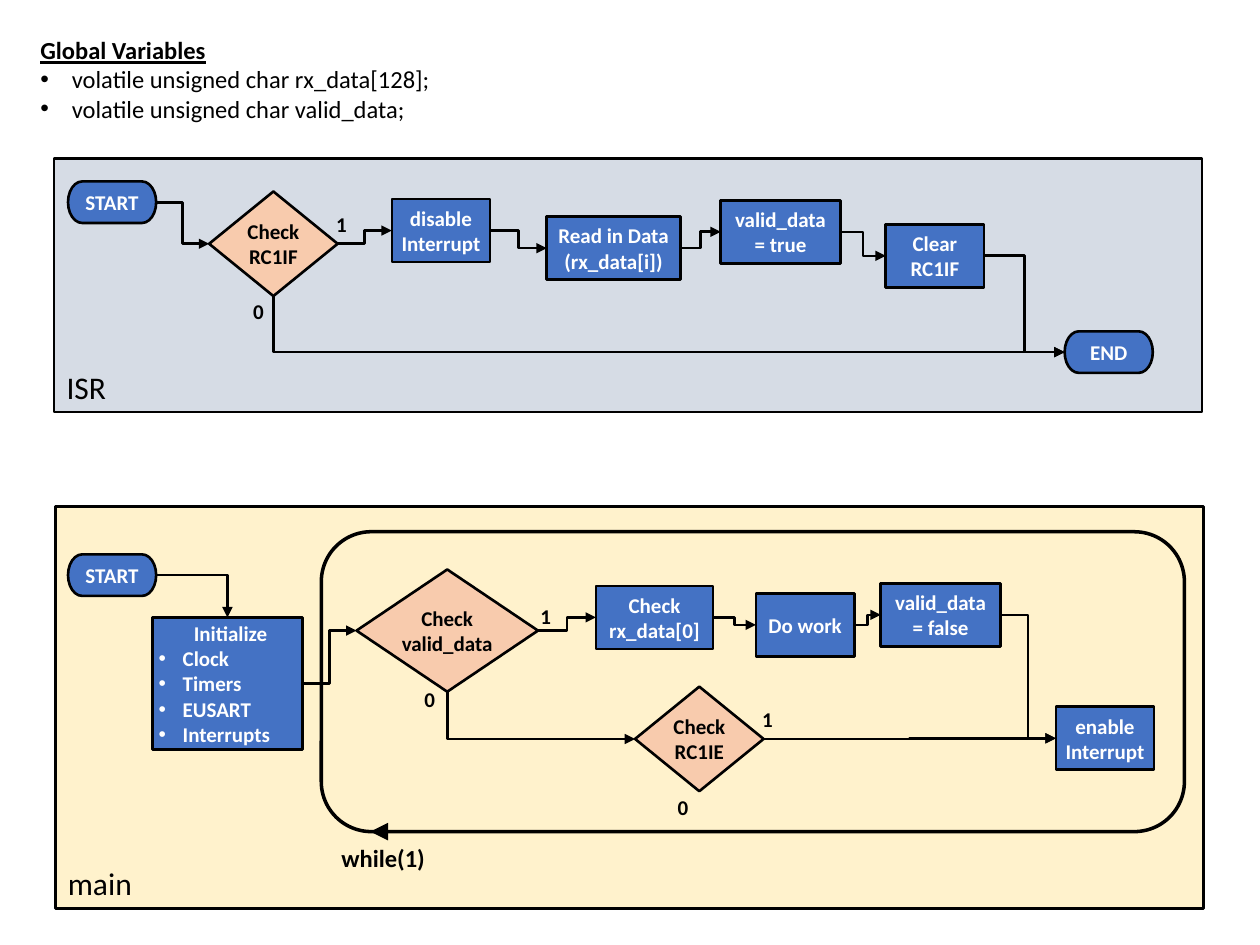
"""Build the flowchart slide of an interrupt routine and its main loop."""
from dataclasses import dataclass
from typing import Any, NamedTuple

from lxml.etree import SubElement
from pptx import Presentation
from pptx.dml.color import RGBColor
from pptx.enum.shapes import MSO_CONNECTOR, MSO_SHAPE
from pptx.enum.text import MSO_ANCHOR, MSO_AUTO_SIZE, PP_ALIGN
from pptx.oxml.ns import qn
from pptx.util import Inches, Pt


@dataclass(frozen=True)
class Theme:
    font: str = "Calibri"
    ink: str = "000000"
    pale: str = "FFFFFF"
    blue: str = "4472C4"
    peach: str = "F8CBAD"
    gray: str = "D6DCE5"
    cream: str = "FFF2CC"
    small: int = 12
    mid: int = 14
    large: int = 18
    thin: float = 1.5
    thick: float = 2


class Box(NamedTuple):
    left: float
    top: float
    width: float
    height: float


class Look(NamedTuple):
    form: Any
    fill: str | None
    ink: str
    size: int
    bold: bool
    weight: float


class Node(NamedTuple):
    name: str
    text: str
    look: Look
    box: Box


class Link(NamedTuple):
    start: str
    end: str
    out: int = 3
    into: int = 1


class Label(NamedTuple):
    text: str
    box: Box
    size: int
    inset: Box


THEME = Theme()
TOP, LEFT, BASE, RIGHT = range(4)


def look(form: Any, fill: str | None, ink: str = THEME.ink, size: int = THEME.small,
         bold: bool = True, weight: float = THEME.thin) -> Look:
    return Look(form, fill, ink, size, bold, weight)


CAP = look(MSO_SHAPE.FLOWCHART_TERMINATOR, THEME.blue, THEME.pale)
STEP = look(MSO_SHAPE.FLOWCHART_PROCESS, THEME.blue, THEME.pale)
TEST = look(MSO_SHAPE.FLOWCHART_DECISION, THEME.peach)
LOOP = look(MSO_SHAPE.ROUNDED_RECTANGLE, None, weight=THEME.thick)
ISR = look(MSO_SHAPE.RECTANGLE, THEME.gray, size=THEME.large, bold=False)
MAIN = look(MSO_SHAPE.RECTANGLE, THEME.cream, size=THEME.large, bold=False)

WIDE = Box(0.1, 0.05, 0.1, 0.05)
NONE = Box(0, 0, 0, 0)

FRAMES = [
    Node("isr", "ISR", ISR, Box(0.43, 1.26, 9.11, 2.01)),
    Node("main", "main", MAIN, Box(0.44, 4.02, 9.11, 3.19)),
    Node("loop", "", LOOP, Box(2.55, 4.22, 6.85, 2.38)),
]
NODES = [
    Node("start", "START", CAP, Box(0.54, 1.44, 0.7, 0.33)),
    Node("flag", "Check\vRC1IF", TEST, Box(1.66, 1.52, 1.02, 0.83)),
    Node("mask", "disable\vInterrupt", STEP, Box(3.11, 1.58, 0.78, 0.5)),
    Node("read", "Read in Data\v(rx_data[i])", STEP, Box(4.34, 1.72, 1.06, 0.5)),
    Node("set", "valid_data\v= true", STEP, Box(5.72, 1.59, 0.95, 0.5)),
    Node("clear", "Clear\vRC1IF", STEP, Box(7.03, 1.78, 0.78, 0.5)),
    Node("end", "END", CAP, Box(8.45, 2.63, 0.7, 0.33)),
    Node("boot", "START", CAP, Box(0.54, 4.4, 0.7, 0.33)),
    Node("init", "Initialize\nClock\nTimers\nEUSART\nInterrupts", STEP,
         Box(1.21, 4.9, 1.19, 1.05)),
    Node("valid", "Check\vvalid_data", TEST, Box(2.83, 4.52, 1.44, 0.97)),
    Node("check", "Check\vrx_data[0]", STEP, Box(4.73, 4.65, 0.93, 0.5)),
    Node("work", "Do work", STEP, Box(6, 4.71, 0.78, 0.5)),
    Node("reset", "valid_data\v= false", STEP, Box(6.99, 4.63, 0.95, 0.5)),
    Node("armed", "Check\vRC1IE", TEST, Box(5.04, 5.45, 1.02, 0.83)),
    Node("allow", "enable\vInterrupt", STEP, Box(8.38, 5.61, 0.78, 0.5)),
]
CHAINS = [
    ("start", "flag", "mask", "read", "set", "clear", "end"),
    ("init", "valid", "check", "work", "reset", "allow"),
    ("armed", "allow"),
]
TURNS = [
    Link("flag", "end", out=BASE),
    Link("boot", "init", into=TOP),
    Link("valid", "armed", out=BASE),
]
LABELS = [
    *(Label(text, Box(left, top, 0.29, 0.3), THEME.small, WIDE)
      for text, left, top in [("1", 2.57, 1.63), ("0", 1.91, 2.32),
                              ("1", 4.19, 4.74), ("0", 3.27, 5.4),
                              ("1", 5.95, 5.56), ("0", 5.28, 6.26)]),
    Label("while(1)", Box(2.71, 6.69, 0.67, 0.28), THEME.mid, NONE),
]


def put(item: Any, values: dict[str, Any]) -> None:
    for key, value in values.items():
        setattr(item, key, value)


def inset(frame: Any, box: Box) -> None:
    sides = ("left", "top", "right", "bottom")
    put(frame, {f"margin_{side}": Inches(gap) for side, gap in zip(sides, box)})


def style(para: Any, size: int, ink: str, bold: bool, align: Any) -> None:
    put(para, {"alignment": align, "space_before": Pt(0)})
    for run in para.runs:
        put(run.font, {"name": THEME.font, "size": Pt(size), "bold": bold})
        run.font.color.rgb = RGBColor.from_string(ink)


def bullet(para: Any, indent: float) -> None:
    props = para._p.get_or_add_pPr()
    props.set("marL", str(Inches(indent)))
    props.set("indent", str(-Inches(indent)))
    SubElement(props, qn("a:buFont")).set("typeface", "Arial")
    SubElement(props, qn("a:buChar")).set("char", "•")


def draw_node(slide: Any, node: Node) -> Any:
    kind = node.look
    shape = slide.shapes.add_shape(kind.form, *map(Inches, node.box))
    shape.shadow.inherit = False
    if kind.fill:
        shape.fill.solid()
        shape.fill.fore_color.rgb = RGBColor.from_string(kind.fill)
    else:
        shape.fill.background()
    shape.line.color.rgb = RGBColor.from_string(THEME.ink)
    shape.line.width = Pt(kind.weight)
    frame, panel, listed = shape.text_frame, kind in (ISR, MAIN), "\n" in node.text
    put(frame, {"text": node.text, "word_wrap": panel or listed,
                "vertical_anchor": MSO_ANCHOR.BOTTOM if panel else MSO_ANCHOR.MIDDLE})
    inset(frame, WIDE if panel else Box(0.05 if listed else 0, 0, 0, 0))
    for rank, para in enumerate(frame.paragraphs):
        align = PP_ALIGN.LEFT if panel or rank else PP_ALIGN.CENTER
        style(para, kind.size, kind.ink, kind.bold, align)
        if rank:
            bullet(para, 0.19)
    return shape


def draw_label(slide: Any, label: Label) -> None:
    frame = slide.shapes.add_textbox(*map(Inches, label.box)).text_frame
    put(frame, {"text": label.text, "word_wrap": False,
                "auto_size": MSO_AUTO_SIZE.SHAPE_TO_FIT_TEXT})
    inset(frame, label.inset)
    style(frame.paragraphs[0], label.size, THEME.ink, True, PP_ALIGN.LEFT)


def finish(line: Any, weight: float, head: str = "med") -> None:
    line.line.color.rgb = RGBColor.from_string(THEME.ink)
    line.line.width = Pt(weight)
    props = line._element.spPr
    SubElement(props.find(qn("a:ln")), qn("a:tailEnd"), type="triangle", w=head, len=head)
    SubElement(props, qn("a:effectLst"))


def draw_link(slide: Any, link: Link, shapes: dict[str, Any]) -> None:
    line = slide.shapes.add_connector(MSO_CONNECTOR.ELBOW, 0, 0, 0, 0)
    line.begin_connect(shapes[link.start], link.out)
    line.end_connect(shapes[link.end], link.into)
    props = line._element.spPr
    if (link.out, link.into) != (RIGHT, LEFT):
        props.find(qn("a:prstGeom")).set("prst", "bentConnector2")
    if link.out == BASE:
        wide, high = line.width, line.height
        put(line, {"left": line.left + (wide - high) // 2,
                   "top": line.top + (high - wide) // 2,
                   "width": high, "height": wide})
        form = props.find(qn("a:xfrm"))
        form.set("rot", str(270 * 60000))
        form.set("flipH", "1")
    finish(line, THEME.thin)


def draw_list(holder: Any, box: Box, text: str, head: bool) -> None:
    put(holder, dict(zip(Box._fields, map(Inches, box))))
    frame = holder.text_frame
    put(frame, {"text": text, "word_wrap": True, "auto_size": MSO_AUTO_SIZE.NONE,
                "vertical_anchor": MSO_ANCHOR.TOP})
    inset(frame, WIDE)
    for para in frame.paragraphs:
        style(para, THEME.mid, THEME.ink, head, PP_ALIGN.LEFT)
        if head:
            para.runs[0].font.underline = True
        else:
            bullet(para, 0.25)


def main() -> None:
    deck = Presentation()
    put(deck, {"slide_width": Inches(10), "slide_height": Inches(7.5)})
    slide = deck.slides.add_slide(deck.slide_layouts[1])
    draw_list(slide.shapes.title, Box(0.22, 0.23, 3.32, 0.34), "Global Variables", True)
    draw_list(slide.placeholders[1], Box(0.22, 0.46, 3.6, 0.58),
              "volatile unsigned char rx_data[128];\nvolatile unsigned char valid_data;", False)
    shapes = {node.name: draw_node(slide, node) for node in FRAMES + NODES}
    steps = [Link(*pair) for chain in CHAINS for pair in zip(chain, chain[1:])]
    for link in steps + TURNS:
        draw_link(slide, link, shapes)
    for label in LABELS:
        draw_label(slide, label)
    ends = map(Inches, (3.74, 6.6, 2.94, 6.6))
    finish(slide.shapes.add_connector(MSO_CONNECTOR.STRAIGHT, *ends), THEME.thick, "lg")
    deck.save("out.pptx")


if __name__ == "__main__":
    main()
